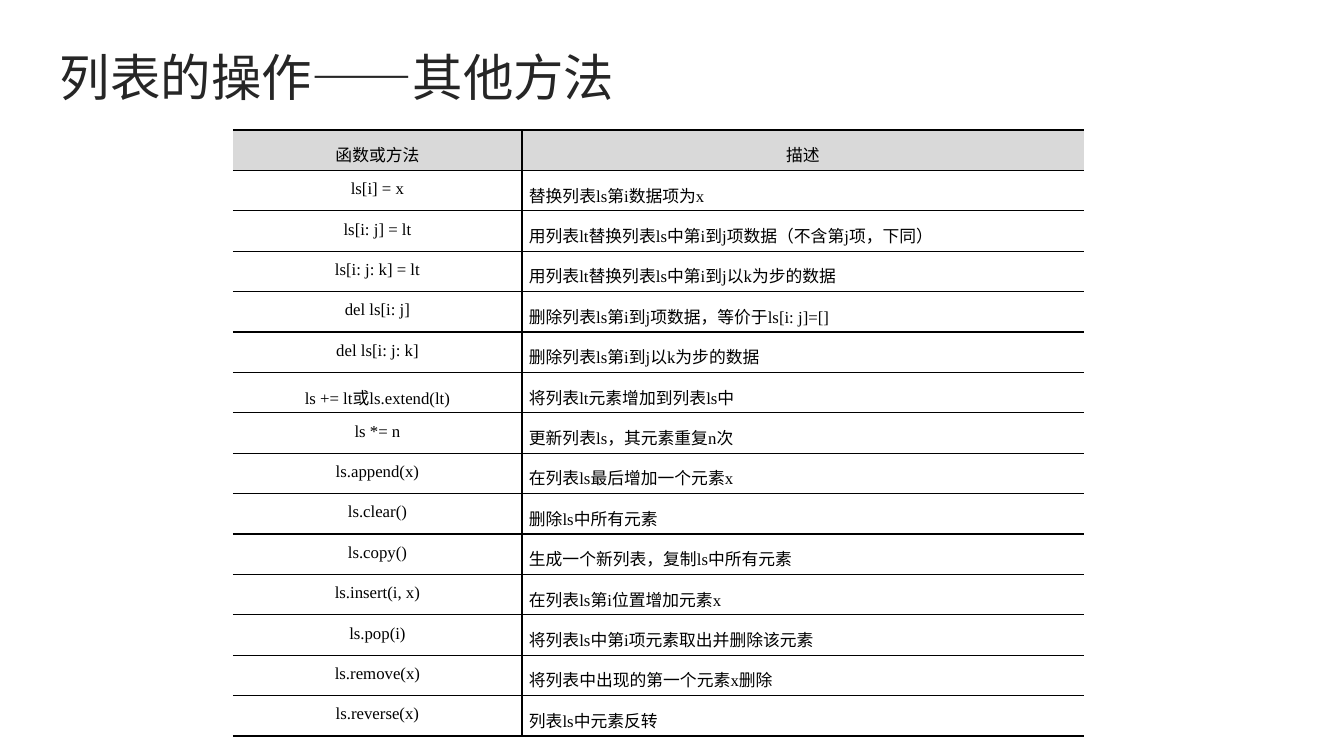
from dataclasses import dataclass

from lxml.etree import SubElement
from pptx import Presentation
from pptx.dml.color import RGBColor
from pptx.enum.lang import MSO_LANGUAGE_ID
from pptx.enum.text import MSO_ANCHOR, PP_ALIGN
from pptx.oxml.ns import qn
from pptx.util import Emu, Pt

SCALE = 914400 / 100.8


@dataclass(frozen=True)
class Theme:
    ink: str = "262626"
    black: str = "000000"
    white: str = "FFFFFF"
    head: str = "D9D9D9"
    serif: str = "Times New Roman"
    sans: str = "Noto Sans CJK SC"
    title: int = 36
    body: int = 12
    rule: int = 1


THEME = Theme()
TITLE = "列表的操作——其他方法"
HEAD = ("函数或方法", "描述")
ROWS = [
    ("ls[i] = x", "替换列表ls第i数据项为x"),
    ("ls[i: j] = lt", "用列表lt替换列表ls中第i到j项数据（不含第j项，下同）"),
    ("ls[i: j: k] = lt", "用列表lt替换列表ls中第i到j以k为步的数据"),
    ("del ls[i: j]", "删除列表ls第i到j项数据，等价于ls[i: j]=[]"),
    ("del ls[i: j: k]", "删除列表ls第i到j以k为步的数据"),
    ("ls += lt或ls.extend(lt)", "将列表lt元素增加到列表ls中"),
    ("ls *= n", "更新列表ls，其元素重复n次"),
    ("ls.append(x)", "在列表ls最后增加一个元素x"),
    ("ls.clear()", "删除ls中所有元素"),
    ("ls.copy()", "生成一个新列表，复制ls中所有元素"),
    ("ls.insert(i, x)", "在列表ls第i位置增加元素x"),
    ("ls.pop(i)", "将列表ls中第i项元素取出并删除该元素"),
    ("ls.remove(x)", "将列表中出现的第一个元素x删除"),
    ("ls.reverse(x)", "列表ls中元素反转"),
]


def px(num):
    return Emu(round(num * SCALE))


def apply(item, form):
    for key, value in form.items():
        setattr(item, key, value)


def write(frame, text, face, size, color, form):
    para = frame.paragraphs[0]
    apply(para, form)
    run = para.add_run()
    run.text = text
    apply(run.font, {
        "name": face,
        "size": Pt(size),
        "language_id": MSO_LANGUAGE_ID.SIMPLIFIED_CHINESE,
    })
    run.font.color.rgb = RGBColor.from_string(color)
    SubElement(run.font._element, qn("a:ea"), typeface=THEME.sans)


def add_title(slide, text, left, top, width, height):
    box = slide.shapes.add_textbox(px(left), px(top), px(width), px(height))
    apply(box.text_frame, {"word_wrap": True, "vertical_anchor": MSO_ANCHOR.BOTTOM})
    write(box.text_frame, text, THEME.sans, THEME.title, THEME.ink,
          {"line_spacing": 0.9})


def add_rules(cell, bare):
    props = cell._tc.get_or_add_tcPr()
    for side in "LRTB":
        line = SubElement(props, qn(f"a:ln{side}"), w=str(Pt(THEME.rule)))
        if side == bare:
            SubElement(line, qn("a:noFill"))
        else:
            fill = SubElement(line, qn("a:solidFill"))
            SubElement(fill, qn("a:srgbClr"), val=THEME.black)


def fill_cell(cell, text, color, align, bare):
    apply(cell, {
        "margin_left": px(7), "margin_right": px(7),
        "margin_top": 0, "margin_bottom": 0,
    })
    add_rules(cell, bare)
    cell.fill.solid()
    cell.fill.fore_color.rgb = RGBColor.from_string(color)
    write(cell.text_frame, text, THEME.serif, THEME.body, THEME.black,
          {"alignment": align, "line_spacing": 1.5})


def add_grid(slide, rows, left, top, widths, height):
    table = slide.shapes.add_table(
        len(rows), len(widths), px(left), px(top), px(sum(widths)), px(height)
    ).table
    apply(table, {"first_row": False, "horz_banding": False})
    for col, width in zip(table.columns, widths):
        col.width = px(width)
    for i, row in enumerate(rows):
        for j, text in enumerate(row):
            mid = i == 0 or j == 0
            fill_cell(table.cell(i, j), text,
                      THEME.white if i else THEME.head,
                      PP_ALIGN.CENTER if mid else PP_ALIGN.LEFT,
                      "LR"[j])


def main():
    deck = Presentation()
    apply(deck, {"slide_width": px(1344), "slide_height": px(756)})
    slide = deck.slides.add_slide(deck.slide_layouts[6])
    add_title(slide, TITLE, 50, 20, 1110, 92)
    add_grid(slide, [HEAD, *ROWS], 233, 130, (289, 562), 606)
    deck.save("out.pptx")


if __name__ == "__main__":
    main()
